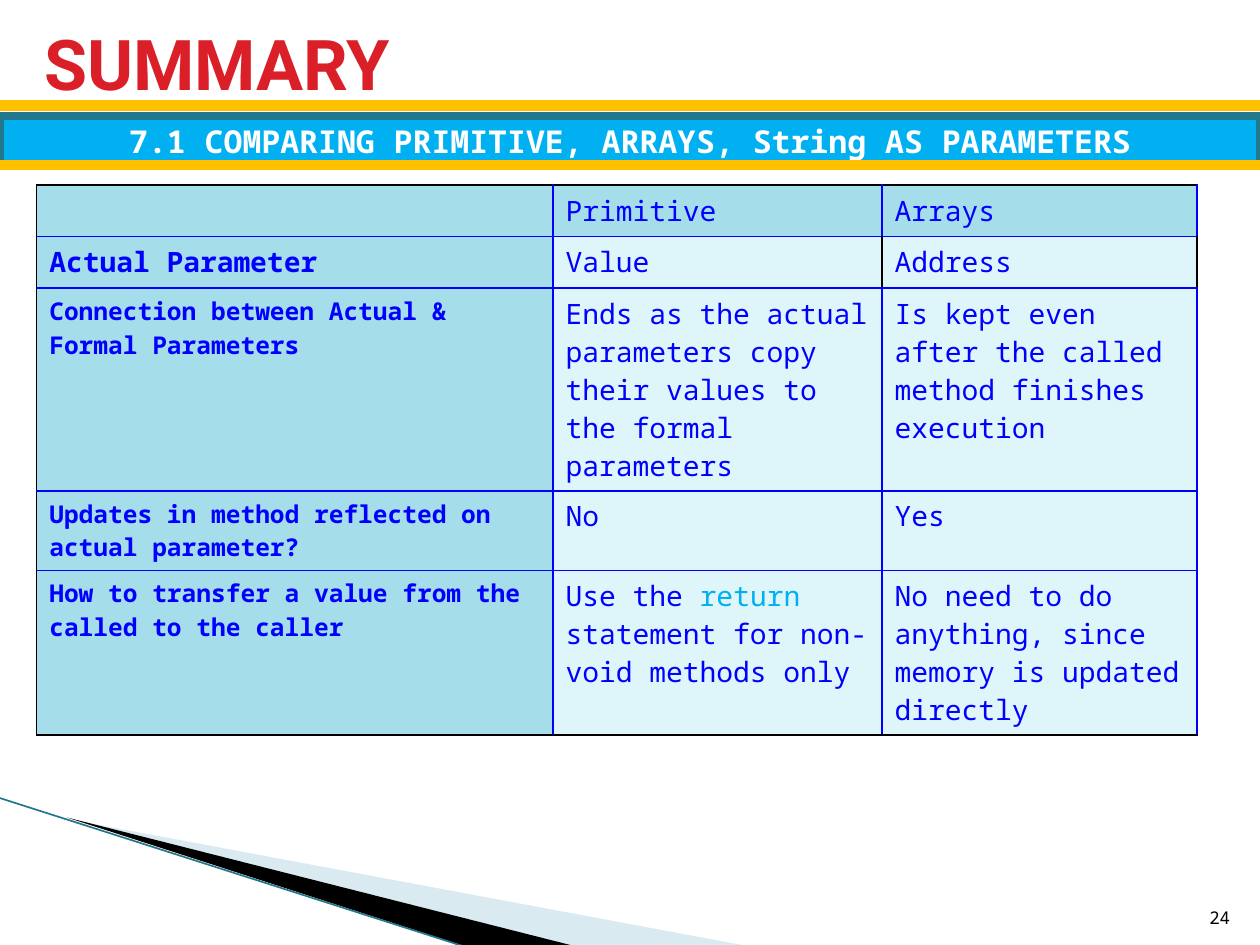
import lxml.etree
import pptx
import pptx.dml.color
import pptx.enum.shapes
import pptx.enum.text
import pptx.oxml
import pptx.oxml.ns
import pptx.util

Cm = pptx.util.Cm
Pt = pptx.util.Pt
Align = pptx.enum.text.PP_ALIGN
Anchor = pptx.enum.text.MSO_ANCHOR
qn = pptx.oxml.ns.qn

BLACK, BLUE, SKY, TEAL, AMBER = "000000", "0000FF", "00B0F0", "21788D", "FFC000"
HEADER_FILL, BODY_FILL = "A6DDEA", "DEF5FA"
MONO = "Noto Sans Mono"


def rgb(value):
    return pptx.dml.color.RGBColor.from_string(value)


def add_run(paragraph, text, color, **formats):
    run = paragraph.add_run()
    run.text = text
    run.font.color.rgb = rgb(color)
    for name, value in ({"name": MONO, "bold": False} | formats).items():
        setattr(run.font, name, value)


presentation = pptx.Presentation()
presentation.slide_width = Cm(25.4)
presentation.slide_height = Cm(19.05)
slide = presentation.slides.add_slide(presentation.slide_layouts[5])
shapes = slide.shapes

# Swoosh in the lower left corner
swooshes = [
    ("A0CBDC", 40, [(1.4, 16.52), (15.11, 19.08), (11.58, 19.08)]),
    (BLACK, 100, [(1.35, 16.48), (11.61, 19.08), (9.45, 19.1)]),
]
for color, opacity, points in swooshes:
    corners = [(Cm(x), Cm(y)) for x, y in points]
    builder = shapes.build_freeform(*corners[0])
    builder.add_line_segments(corners[1:], close=True)
    swoosh = builder.convert_to_shape()
    swoosh.shadow.inherit = False
    swoosh.line.fill.background()
    swoosh.fill.solid()
    swoosh.fill.fore_color.rgb = rgb(color)
    if opacity < 100:
        color_element = swoosh.fill._xPr.find(qn("a:solidFill"))[0]
        alpha = lxml.etree.SubElement(color_element, qn("a:alpha"))
        alpha.set("val", str(opacity * 1000))

# Title
title = shapes.title
title.left, title.top, title.width, title.height = Cm(0.64), Cm(0.43), Cm(24.05), Cm(1.65)
title.text_frame.vertical_anchor = Anchor.MIDDLE
paragraph = title.text_frame.paragraphs[0]
paragraph.alignment = Align.LEFT
add_run(paragraph, "SUMMARY", "DA1F28", name="Roboto", size=Pt(40), bold=True)

# Section banner
banner = shapes.add_shape(
    pptx.enum.shapes.MSO_SHAPE.RECTANGLE, 0, Cm(2.34), Cm(25.4), Cm(0.99))
banner.shadow.inherit = False
banner.fill.solid()
banner.fill.fore_color.rgb = rgb(SKY)
banner.line.color.rgb = rgb(TEAL)
banner.line.width = Pt(4.33)
banner.text_frame.word_wrap = True
banner.text_frame.vertical_anchor = Anchor.MIDDLE
paragraph = banner.text_frame.paragraphs[0]
paragraph.alignment = Align.CENTER
add_run(paragraph, "7.1 COMPARING PRIMITIVE, ARRAYS, String AS PARAMETERS", "FFFFFF",
        size=Pt(18), bold=True)

# Swoosh edge and the two rules around the banner
rules = [
    (-0.03, 16.08, 9.42, 19.1, TEAL, 0.95),
    (0, 2.13, 25.4, 2.13, AMBER, 6),
    (0, 3.33, 25.4, 3.33, AMBER, 6),
]
for x1, y1, x2, y2, color, width in rules:
    rule = shapes.add_connector(
        pptx.enum.shapes.MSO_CONNECTOR.STRAIGHT, Cm(x1), Cm(y1), Cm(x2), Cm(y2))
    rule.line.color.rgb = rgb(color)
    rule.line.width = Pt(width)
    lxml.etree.SubElement(rule._element.spPr, qn("a:effectLst"))

# Comparison table: each cell is a list of (text, color) runs
rows = [
    ["", "Primitive", "Arrays"],
    ["Actual Parameter", "Value", "Address"],
    ["Connection between Actual & Formal Parameters",
     "Ends as the actual parameters copy their values to the formal parameters",
     "Is kept even after the called method finishes execution"],
    ["Updates in method reflected on actual parameter?", "No", "Yes"],
    ["How to transfer a value from the called to the caller",
     [("Use the ", BLUE), ("return ", SKY), ("statement for non-void methods only", BLUE)],
     "No need to do anything, since memory is updated directly"],
]
column_widths = [10.41, 6.63, 6.35]
row_heights = [1.04, 1.04, 4.06, 1.6, 3.3]
table = shapes.add_table(
    len(rows), len(column_widths), Cm(0.74), Cm(3.73),
    Cm(sum(column_widths)), Cm(sum(row_heights))).table
for column, width in zip(table.columns, column_widths):
    column.width = Cm(width)
for row, height in zip(table.rows, row_heights):
    row.height = Cm(height)

last_row = len(rows) - 1
for r, row in enumerate(rows):
    for c, content in enumerate(row):
        cell = table.cell(r, c)
        black_sides = {
            "L": c == 0 or (r, c) == (1, 2),
            "R": r == 1 and c > 0,
            "T": r == 0,
            "B": r == last_row,
        }
        properties = cell._tc.get_or_add_tcPr()
        for side, is_black in black_sides.items():
            border = lxml.etree.SubElement(properties, qn(f"a:ln{side}"), w=str(Pt(1)))
            fill = lxml.etree.SubElement(border, qn("a:solidFill"))
            lxml.etree.SubElement(fill, qn("a:srgbClr"), val=BLACK if is_black else BLUE)
        cell.fill.solid()
        cell.fill.fore_color.rgb = rgb(HEADER_FILL if r == 0 or c == 0 else BODY_FILL)

        runs = [(content, BLUE)] if isinstance(content, str) else content
        size = Pt(14 if c == 0 and r > 1 else 16)
        for text, color in runs:
            if text:
                add_run(cell.text_frame.paragraphs[0], text, color, size=size, bold=c == 0)

# Slide number
number = shapes.add_textbox(Cm(24.03), Cm(17.81), Cm(1.02), Cm(1.02))
number.text_frame.word_wrap = True
number.text_frame.vertical_anchor = Anchor.BOTTOM
paragraph = number.text_frame.paragraphs[0]
paragraph.alignment = Align.RIGHT
add_run(paragraph, "24", BLACK, size=Pt(10))

presentation.save("out.pptx")
